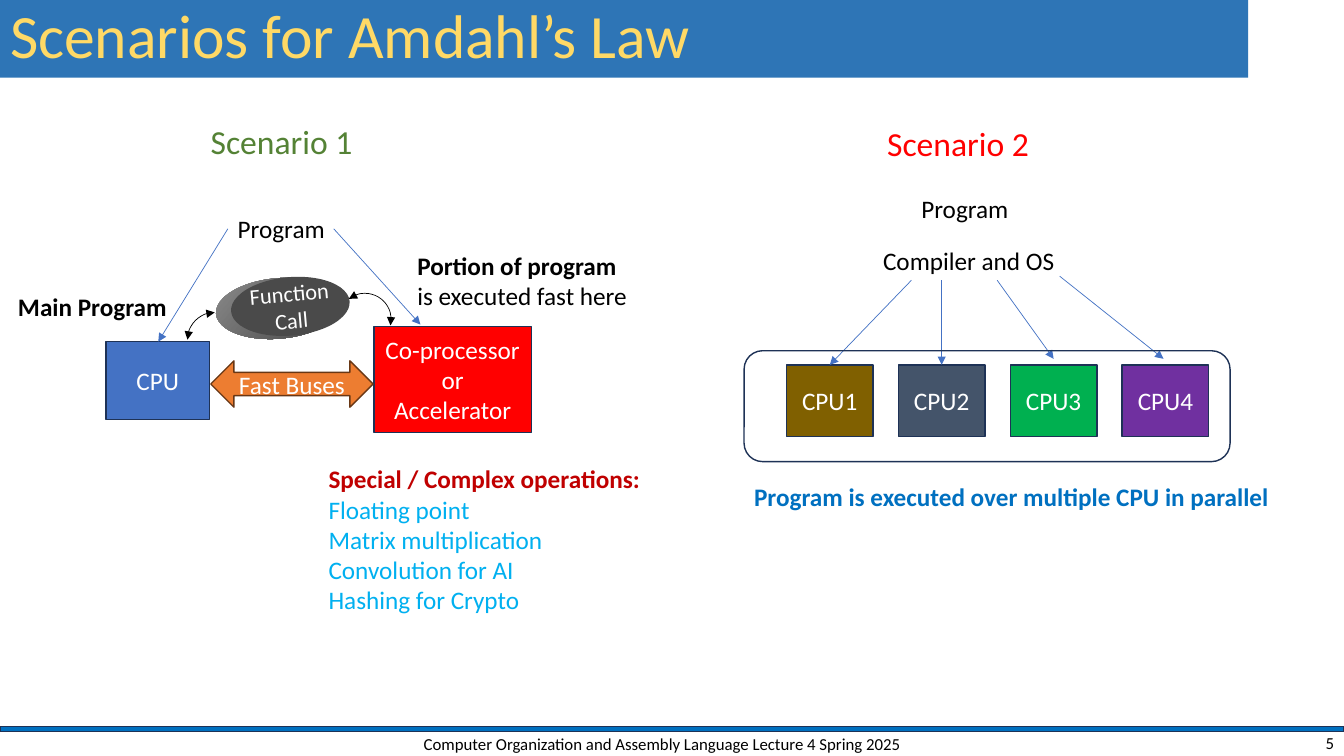
from lxml.etree import SubElement
from pptx import Presentation
from pptx.dml.color import RGBColor
from pptx.enum.dml import MSO_FILL
from pptx.enum.shapes import MSO_CONNECTOR, MSO_SHAPE
from pptx.enum.text import MSO_ANCHOR, MSO_AUTO_SIZE, PP_ALIGN
from pptx.oxml.ns import qn
from pptx.util import Pt

PX = 9144  # EMU per px, 100 px to the inch
FONT = "Calibri"
EDGE = "1E3256"
ARROW = "4472C4"


def px(*lengths):
    return [n * PX for n in lengths]


def rgb(color):
    return RGBColor.from_string(color)


def style(p, size, color, bold=False, align=PP_ALIGN.LEFT):
    f = p.font
    f.name, f.size, f.bold = FONT, Pt(size), bold
    f.color.rgb = rgb(color)
    p.alignment = align


def add_title(s, text, box):
    title = s.shapes.title
    title.left, title.top, title.width, title.height = px(*box)
    title.fill.solid()
    title.fill.fore_color.rgb = rgb("2E75B6")
    tf = title.text_frame
    tf.text = text
    tf.word_wrap = True
    tf.auto_size = MSO_AUTO_SIZE.NONE
    tf.vertical_anchor = MSO_ANCHOR.MIDDLE
    p = tf.paragraphs[0]
    style(p, 44, "FFD966")
    p.line_spacing = 0.9


def add_label(s, box, lines, size=18, align=PP_ALIGN.LEFT, anchor=MSO_ANCHOR.TOP):
    """Unwrapped text; each line is (text, color, bold)."""
    tf = s.shapes.add_textbox(*px(*box)).text_frame
    tf.word_wrap = False
    tf.vertical_anchor = anchor
    for i, (text, color, bold) in enumerate(lines):
        p = tf.paragraphs[0] if i == 0 else tf.add_paragraph()
        p.text = text
        style(p, size, color, bold, align)


def add_block(s, kind, box, fill=None, line=EDGE, text="", size=18):
    sp = s.shapes.add_shape(kind, *px(*box))
    sp.shadow.inherit = False
    if fill:
        sp.fill.solid()
        sp.fill.fore_color.rgb = rgb(fill)
    else:
        sp.fill.background()
    if line:
        sp.line.color.rgb = rgb(line)
        sp.line.width = Pt(1)
    else:
        sp.line.fill.background()
    if text:
        tf = sp.text_frame
        tf.word_wrap = True
        tf.vertical_anchor = MSO_ANCHOR.MIDDLE
        tf.text = text
        style(tf.paragraphs[0], size, "FFFFFF", align=PP_ALIGN.CENTER)
    return sp


def set_line(sp, color, *ends):
    sp.line.color.rgb = rgb(color)
    sp.line.width = Pt(0.5)
    ln = sp.line._get_or_add_ln()
    for end in ends:
        SubElement(ln, qn(f"a:{end}"), type="triangle")


def add_arrow(s, x1, y1, x2, y2):
    c = s.shapes.add_connector(MSO_CONNECTOR.STRAIGHT, *px(x1, y1, x2, y2))
    set_line(c, ARROW, "tailEnd")
    SubElement(c._element.spPr, qn("a:effectLst"))


def add_arc(s, box, start, end):
    """Clockwise arc with two arrowheads; angles in degrees."""
    arc = add_block(s, MSO_SHAPE.ARC, box)
    for i, angle in enumerate((start, end)):
        arc.adjustments[i] = angle * 0.6
    set_line(arc, "000000", "headEnd", "tailEnd")


def add_call_disc(s):
    rim = add_block(s, MSO_SHAPE.OVAL, (214, 276, 124, 60), "7F7F7F", None)
    rim.rotation = -5
    rim.fill.gradient()
    rim.fill.gradient_angle = 315
    for stop, color in zip(rim.fill.gradient_stops, ("8C8C8C", "404040")):
        stop.color.rgb = rgb(color)
    face = add_block(s, MSO_SHAPE.OVAL, (229, 275, 118, 58), "4A4A4A", None,
                     "Function\vCall", 16)
    face.rotation = -5
    tf = face.text_frame
    tf.margin_left = tf.margin_right = tf.margin_top = tf.margin_bottom = 0


def add_coprocessor_scenario(s):
    add_label(s, (199, 115, 162, 50), [("Scenario 1", "548235", False)], 24)
    rect = MSO_SHAPE.RECTANGLE
    add_block(s, rect, (105, 339, 103, 77), "4472C4", text="CPU")
    add_block(s, rect, (371, 324, 156, 105), "FF0000",
              text="Co-processor or Accelerator")
    add_block(s, MSO_SHAPE.LEFT_RIGHT_ARROW, (209, 358, 161, 46), "ED7D31",
              "683715", "Fast Buses")
    add_label(s, (226, 207, 107, 40), [("Program", "000000", False)])
    add_arrow(s, 226, 227, 157, 339)
    add_arrow(s, 331, 227, 417, 322)
    add_label(s, (8, 284, 169, 40), [("Main Program", "000000", True)])
    add_label(s, (404, 243, 231, 71), [
        ("Portion of program", "000000", True),
        ("is executed fast here", "000000", False)])
    operations = ("Floating point", "Matrix multiplication",
                  "Convolution for AI", "Hashing for Crypto")
    add_label(s, (316, 455, 332, 162),
              [("Special / Complex operations:", "C00000", True)]
              + [(name, "00B0F0", False) for name in operations])
    add_call_disc(s)
    add_arc(s, (186, 310, 54, 54), 180, 270)
    add_arc(s, (336, 291, 52, 52), 232, 13)


def add_parallel_scenario(s):
    add_label(s, (870, 117, 162, 50), [("Scenario 2", "FF0000", False)], 24)
    add_label(s, (904, 187, 107, 40), [("Program", "000000", False)])
    add_label(s, (866, 238, 192, 40), [("Compiler and OS", "000000", False)])
    for i, fill in enumerate(("806000", "44546A", "00B050", "7030A0")):
        add_block(s, MSO_SHAPE.RECTANGLE, (780 + 111 * i, 362, 86, 71), fill,
                  text=f"CPU{i + 1}")
    for ends in ((904, 278, 823, 362), (934, 278, 934, 362),
                 (989, 278, 1045, 356), (1051, 274, 1154, 356)):
        add_arrow(s, *ends)
    add_block(s, MSO_SHAPE.ROUNDED_RECTANGLE, (738, 348, 482, 110))
    add_label(s, (738, 473, 535, 40), [
        ("Program is executed over multiple CPU in parallel", "0070C0", True)])


def add_footer(s):
    add_block(s, MSO_SHAPE.RECTANGLE, (0, 721, 1333, 5), "0070C0")
    add_label(s, (392, 724, 530, 28), [
        ("Computer Organization and Assembly Language Lecture 4 Spring 2025",
         "000000", False)], 12, PP_ALIGN.CENTER, MSO_ANCHOR.MIDDLE)
    add_label(s, (1033, 724, 300, 25), [("5", "000000", False)],
              12, PP_ALIGN.RIGHT, MSO_ANCHOR.MIDDLE)


def main():
    prs = Presentation()
    prs.slide_width, prs.slide_height = px(1333, 750)
    s = prs.slides.add_slide(prs.slide_layouts[5])
    add_title(s, "Scenarios for Amdahl’s Law", (0, 0, 1238, 77))
    add_footer(s)
    add_coprocessor_scenario(s)
    add_parallel_scenario(s)
    prs.save("out.pptx")


if __name__ == "__main__":
    main()
